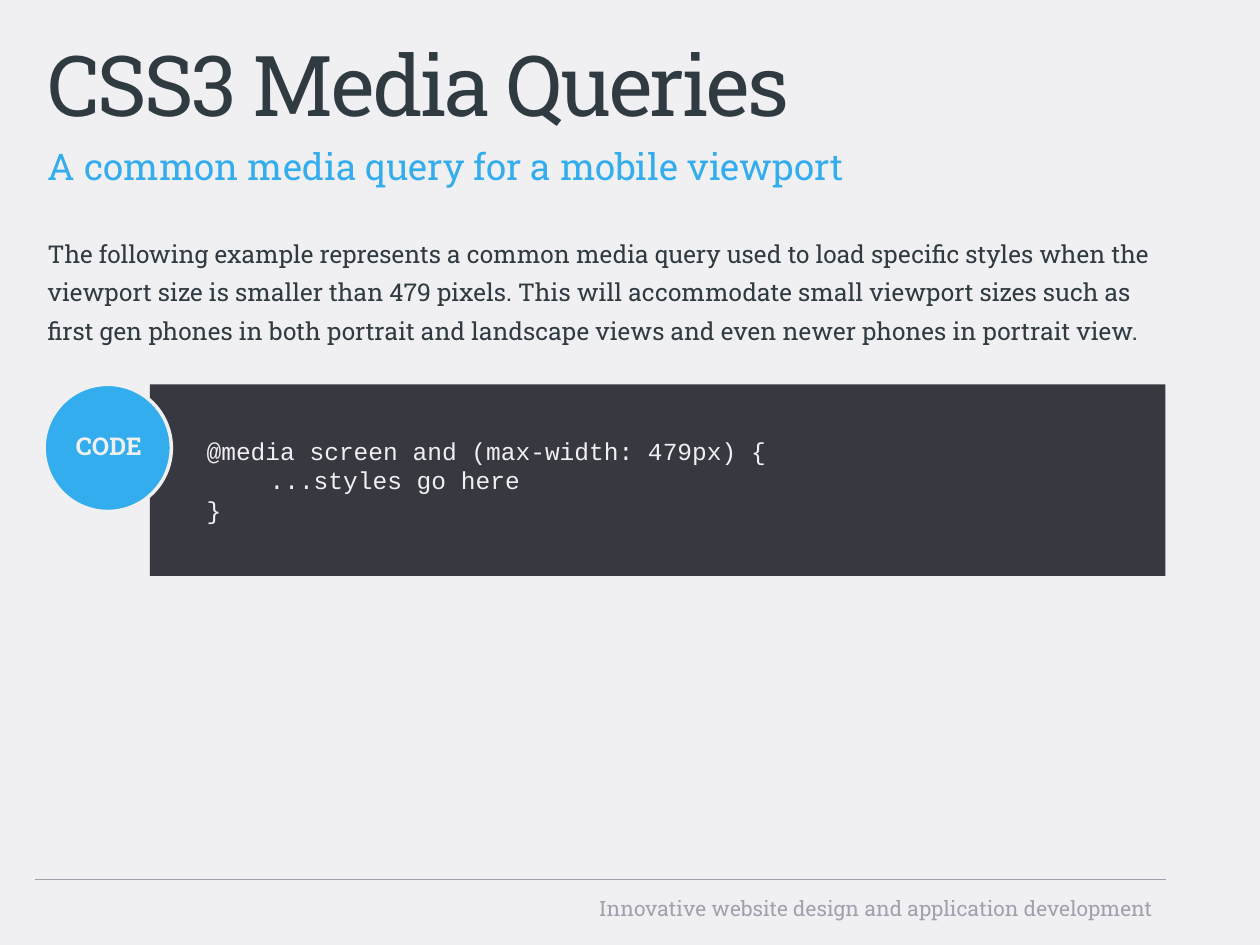
from pptx import Presentation
from pptx.dml.color import RGBColor
from pptx.enum.shapes import MSO_CONNECTOR, MSO_SHAPE
from pptx.enum.text import MSO_ANCHOR, PP_ALIGN
from pptx.oxml.ns import qn
from pptx.util import Inches, Pt
from lxml import etree

LEFT, CENTER, RIGHT = PP_ALIGN.LEFT, PP_ALIGN.CENTER, PP_ALIGN.RIGHT
TOP, MIDDLE = MSO_ANCHOR.TOP, MSO_ANCHOR.MIDDLE
PALE = RGBColor(0xF0, 0xF0, 0xF2)
GREY = RGBColor(0xA1, 0xA1, 0xAD)
INK = RGBColor(0x30, 0x3B, 0x41)
BLUE = RGBColor(0x34, 0xAD, 0xEF)
DARK = RGBColor(0x38, 0x38, 0x41)
SLAB, MONO = "Roboto Slab", "Courier New"

# Content
TITLE = "CSS3 Media Queries"
SUBTITLE = "A common media query for a mobile viewport"
BODY = ("The following example represents a common media query used to load "
        "specific styles when the viewport size is smaller than 479 pixels. "
        "This will accommodate small viewport sizes such as first gen phones "
        "in both portrait and landscape views and even newer phones in "
        "portrait view.")
CODE = "@media screen and (max-width: 479px) {\n\t...styles go here\n}"
BADGE = "CODE"
FOOTER = "Innovative website design and application development"

# Layout in inches
MARGIN, RIGHT_EDGE = 0.28, 9.25
CODE_LEFT, CODE_TOP = 1.19, 3.05

# (text, box, size, colour, alignment, line spacing, bold)
TEXTS = [
    (FOOTER, (4.45, 7.06, 4.8, 0.31), 12, GREY, RIGHT, 1, False),
    (TITLE, (MARGIN, 0.21, 8.82, 0.79), 48, INK, LEFT, 1, False),
    (BODY, (MARGIN, 1.78, 9.21, 5.12), 14, INK, LEFT, 1.3, False),
    (SUBTITLE, (MARGIN, 0.99, 8.82, 0.39), 21, BLUE, LEFT, 1.3, False),
]
BADGE_TEXT = (BADGE, (0.43, 3.37, 0.87, 0.34), 14, PALE, CENTER, 1, True)

prs = Presentation()
prs.slide_width, prs.slide_height = Inches(10), Inches(7.5)
s = prs.slides.add_slide(prs.slide_layouts[6])
s.background.fill.solid()
s.background.fill.fore_color.rgb = PALE


def write(tf, text, size, color, font, align=LEFT, spacing=1, bold=False):
    tf.word_wrap = True
    tf.text = text
    for p in tf.paragraphs:
        p.alignment, p.line_spacing = align, spacing
        if spacing > 1:
            p.space_before = Pt(0.2 * size)
        for r in p.runs:
            r.font.name, r.font.size, r.font.bold = font, Pt(size), bold
            r.font.color.rgb = color


def add_text(text, box, size, color, align, spacing, bold):
    sp = s.shapes.add_textbox(*map(Inches, box))
    sp.text_frame.vertical_anchor = TOP
    write(sp.text_frame, text, size, color, SLAB, align, spacing, bold)
    return sp


def add_block(kind, box, fill):
    sp = s.shapes.add_shape(kind, *map(Inches, box))
    sp.shadow.inherit = False
    sp.fill.solid()
    sp.fill.fore_color.rgb = fill
    sp.line.fill.background()
    return sp


# Footer rule
rule = s.shapes.add_connector(MSO_CONNECTOR.STRAIGHT, Inches(MARGIN), Inches(6.98),
                              Inches(RIGHT_EDGE), Inches(6.98))
rule.line.color.rgb, rule.line.width = GREY, Pt(0.75)
etree.SubElement(rule._element.spPr, qn("a:effectLst"))

# Headings, body and footer; large title is tightly spaced
for item in TEXTS:
    sp = add_text(*item)
    if item[0] == TITLE:
        sp.text_frame.paragraphs[0].runs[0].font._element.set("spc", "-150")

# Code panel
panel = add_block(MSO_SHAPE.RECTANGLE,
                  (CODE_LEFT, CODE_TOP, RIGHT_EDGE - CODE_LEFT, 1.52), DARK)
tf = panel.text_frame
tf.vertical_anchor = MIDDLE
tf.margin_left, tf.margin_right = Inches(0.45), Inches(0.11)
tf.margin_top = tf.margin_bottom = Inches(0.06)
write(tf, CODE, 14, PALE, MONO)

# Round badge
badge = add_block(MSO_SHAPE.OVAL, (0.35, CODE_TOP, 1.01, 1.01), BLUE)
badge.line.color.rgb, badge.line.width = PALE, Pt(2)
add_text(*BADGE_TEXT)

prs.save("out.pptx")
